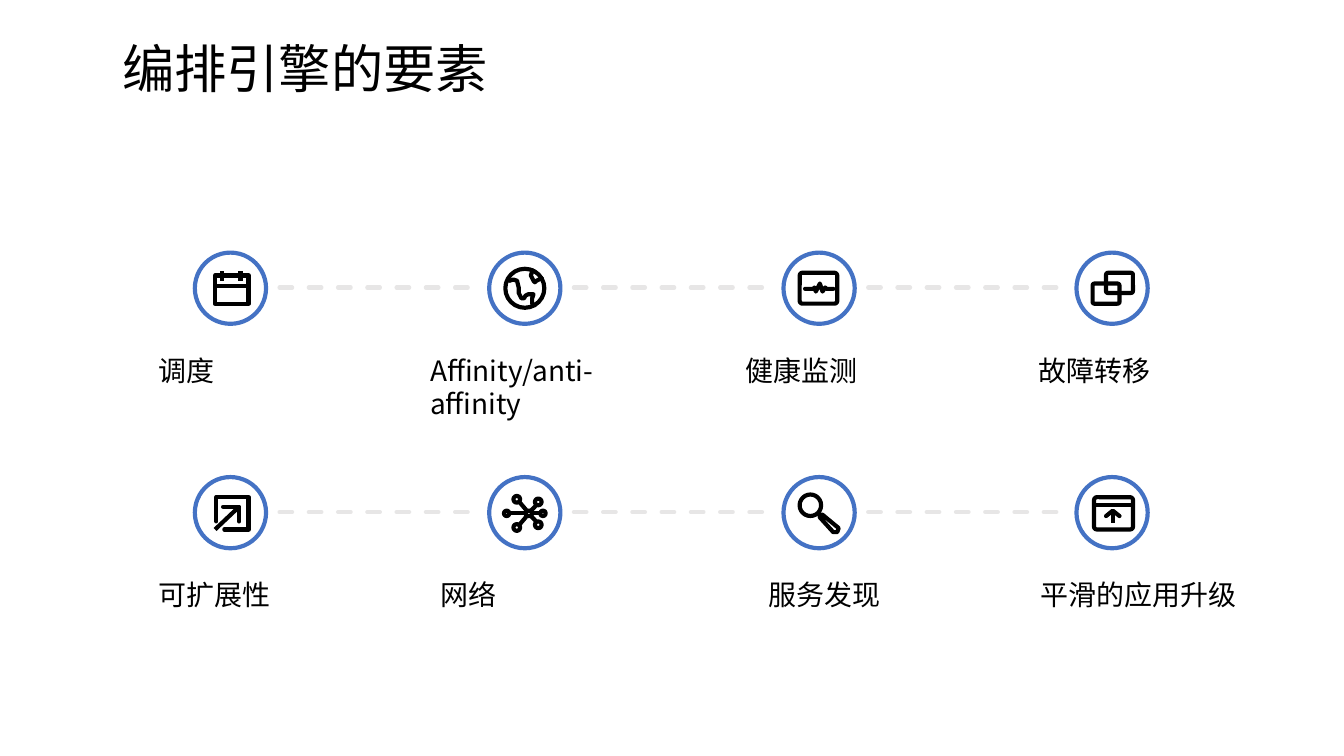
from lxml.etree import SubElement
from pptx import Presentation
from pptx.dml.color import RGBColor
from pptx.enum.dml import MSO_LINE
from pptx.enum.shapes import MSO_CONNECTOR, MSO_SHAPE
from pptx.enum.text import MSO_ANCHOR, MSO_AUTO_SIZE
from pptx.oxml.ns import qn
from pptx.util import Pt

PX = 9144
RECT, ROUND, OVAL = MSO_SHAPE.RECTANGLE, MSO_SHAPE.ROUNDED_RECTANGLE, MSO_SHAPE.OVAL

CALENDAR = (
    [(RECT, 15, 17, 25, 21)],
    [[(20, 14), (20, 21)], [(34, 14), (34, 21)], [(15, 25), (39, 25)]],
)
GLOBE = (
    [(OVAL, 12, 12, 29, 29)],
    [
        [(14, 20), (15, 21), (18, 20), (21, 21), (21, 22), (22, 26), (22, 30), (24, 34), (26, 34),
         (27, 32), (29, 31), (32, 31), (33, 31), (32, 34), (32, 38), (34, 39)],
        [(39, 19), (37, 20), (35, 21), (34, 22), (33, 21), (31, 17), (32, 14), (32, 13)],
    ],
)
MONITOR = (
    [(ROUND, 12, 15, 28, 23)],
    [[(16, 27), (22, 27), (23, 26), (24, 29), (27, 23), (29, 29), (31, 26), (32, 27), (37, 27)]],
)
FAILOVER = ([(ROUND, 22, 15, 20, 15), (ROUND, 12, 23, 20, 15)], [])
EXPAND = (
    [],
    [
        [(33, 33), (33, 22), (21, 22)],
        [(22, 39), (40, 39), (40, 15), (16, 15), (16, 33)],
        [(33, 22), (15, 39)],
    ],
)
NETWORK = (
    [(OVAL, 27, 25, 5, 4), (OVAL, 38, 25, 4, 4), (OVAL, 11, 25, 4, 4), (OVAL, 34, 33, 5, 5),
     (OVAL, 18, 35, 5, 5), (OVAL, 34, 16, 5, 5), (OVAL, 18, 14, 5, 5)],
    [
        [(38, 27), (31, 27)], [(27, 27), (15, 27)], [(22, 36), (28, 29)],
        [(31, 29), (35, 33)], [(22, 18), (28, 25)], [(31, 25), (35, 21)],
    ],
)
SEARCH = (
    [(OVAL, 12, 13, 16, 16)],
    [
        [(27, 30), (37, 41), (40, 41), (41, 38), (29, 28), (27, 28), (27, 30)],
        [(25, 26), (27, 28)],
    ],
)
UPGRADE = (
    [(ROUND, 13, 15, 29, 24)],
    [[(13, 21), (42, 21)], [(27, 34), (27, 25)], [(22, 29), (27, 25), (32, 29)]],
)

ROWS = [
    (188, [
        (CALENDAR, "调度", 106, 133, 49),
        (GLOBE, "Affinity/anti-affinity", 308, 165, 74),
        (MONITOR, "健康监测", 543, 133, 49),
        (FAILOVER, "故障转移", 761, 133, 49),
    ]),
    (355, [
        (EXPAND, "可扩展性", 106, 138, 49),
        (NETWORK, "网络", 316, 172, 49),
        (SEARCH, "服务发现", 560, 138, 49),
        (UPGRADE, "平滑的应用升级", 762, 172, 49),
    ]),
]
COLUMNS = [round(145 + 218.8 * index) for index in range(4)]
CIRCLE = 53


def color(value):
    return RGBColor.from_string(value)


class Board:
    font = "Noto Sans CJK SC"
    ink, ring, dash, paper = "000000", "4472C4", "E7E6E6", "FFFFFF"
    weight = Pt(2.25)

    def __init__(self, page):
        self.shapes = page.shapes

    def outline(self, shape, line_color):
        shape.line.color.rgb = color(line_color)
        shape.line.width = self.weight

    def soften(self, shape):
        stroke = shape._element.spPr.find(qn("a:ln"))
        stroke.set("cap", "rnd")
        SubElement(stroke, qn("a:round"))

    def box(self, kind, left, top, width, height, line_color=ink, fill=None):
        shape = self.shapes.add_shape(kind, left * PX, top * PX, width * PX, height * PX)
        shape.shadow.inherit = False
        if kind == ROUND:
            shape.adjustments[0] = 0.09
        if fill:
            shape.fill.solid()
            shape.fill.fore_color.rgb = color(fill)
        else:
            shape.fill.background()
        self.outline(shape, line_color)

    def line(self, start, end, line_color=ink, dashed=False):
        connector = self.shapes.add_connector(
            MSO_CONNECTOR.STRAIGHT, *(value * PX for value in (*start, *end)))
        SubElement(connector._element.spPr, qn("a:effectLst"))
        self.outline(connector, line_color)
        if dashed:
            connector.line.dash_style = MSO_LINE.DASH
            self.soften(connector)

    def stroke(self, points):
        if len(points) == 2:
            self.line(*points)
            return
        builder = self.shapes.build_freeform(*points[0], scale=PX)
        builder.add_line_segments(points[1:], close=points[0] == points[-1])
        shape = builder.convert_to_shape()
        shape.shadow.inherit = False
        shape.fill.background()
        self.outline(shape, self.ink)
        self.soften(shape)

    def icon(self, drawing, left, top):
        self.box(OVAL, left, top, CIRCLE, CIRCLE, self.ring, self.paper)
        boxes, strokes = drawing
        for kind, x, y, width, height in boxes:
            self.box(kind, left + x, top + y, width, height)
        for points in strokes:
            self.stroke([(left + x, top + y) for x, y in points])

    def text(self, words, left, top, width, height, size, inset, after=0, anchor=MSO_ANCHOR.TOP):
        box = self.shapes.add_textbox(left * PX, top * PX, width * PX, height * PX)
        frame = box.text_frame
        frame.word_wrap = True
        frame.auto_size = MSO_AUTO_SIZE.SHAPE_TO_FIT_TEXT
        frame.vertical_anchor = anchor
        frame.margin_left = frame.margin_right = inset * PX
        frame.margin_top = frame.margin_bottom = inset * PX
        para = frame.paragraphs[0]
        para.text = words
        para.space_after = Pt(after)
        para.font.size = Pt(size)
        para.font.color.rgb = color(self.ink)
        para.font.name = self.font
        defaults = para._p.pPr.find(qn("a:defRPr"))
        SubElement(defaults, qn("a:ea"), typeface=self.font)


def main():
    deck = Presentation()
    deck.slide_width = 1000 * PX
    deck.slide_height = deck.slide_width * 9 // 16
    board = Board(deck.slides.add_slide(deck.slide_layouts[6]))

    for top, steps in ROWS:
        for left, following in zip(COLUMNS, COLUMNS[1:]):
            board.line((left + 63, top + 26), (following - 9, top + 26), board.dash, dashed=True)
        for column, (drawing, words, left, width, height) in zip(COLUMNS, steps):
            board.icon(drawing, column, top)
            board.text(words, left, top + 63, width, height, 15, 12, after=17.6)
    board.text("编排引擎的要素", 88, 24, 495, 53, 28, 3, anchor=MSO_ANCHOR.MIDDLE)
    deck.save("out.pptx")


if __name__ == "__main__":
    main()
